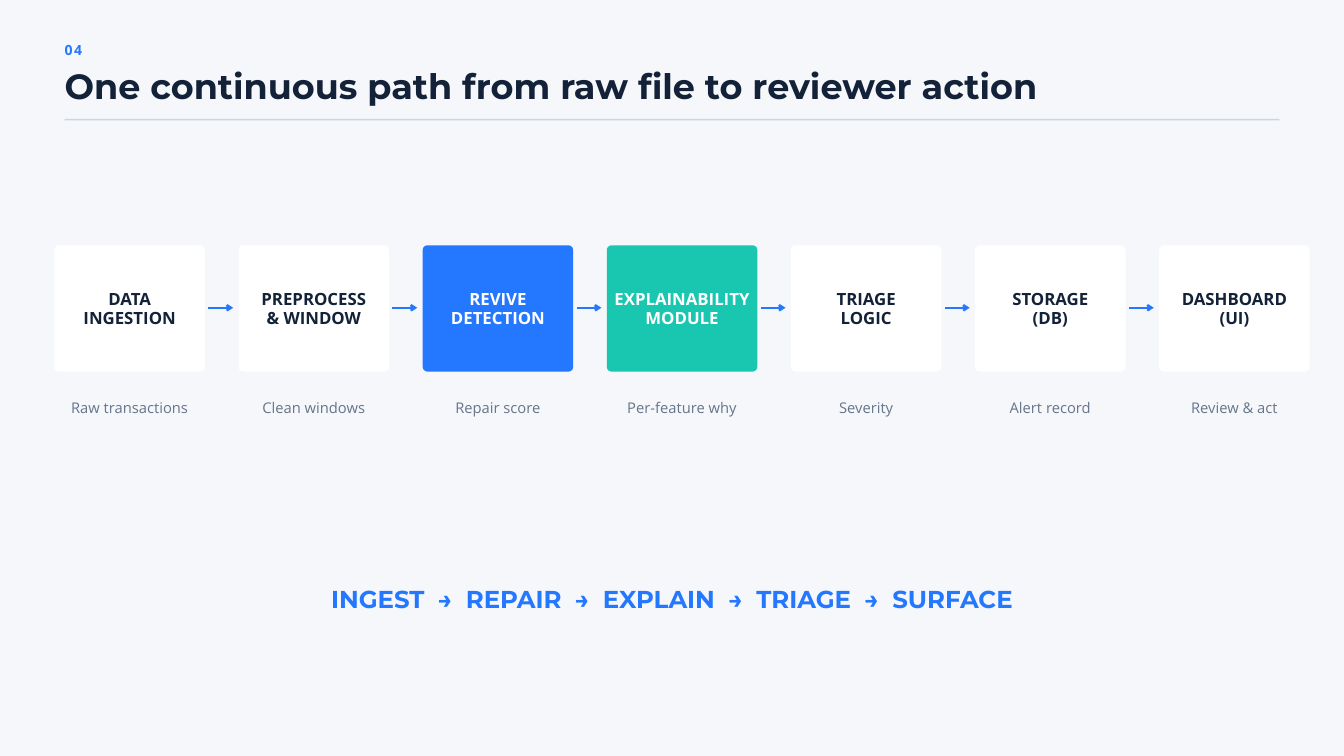
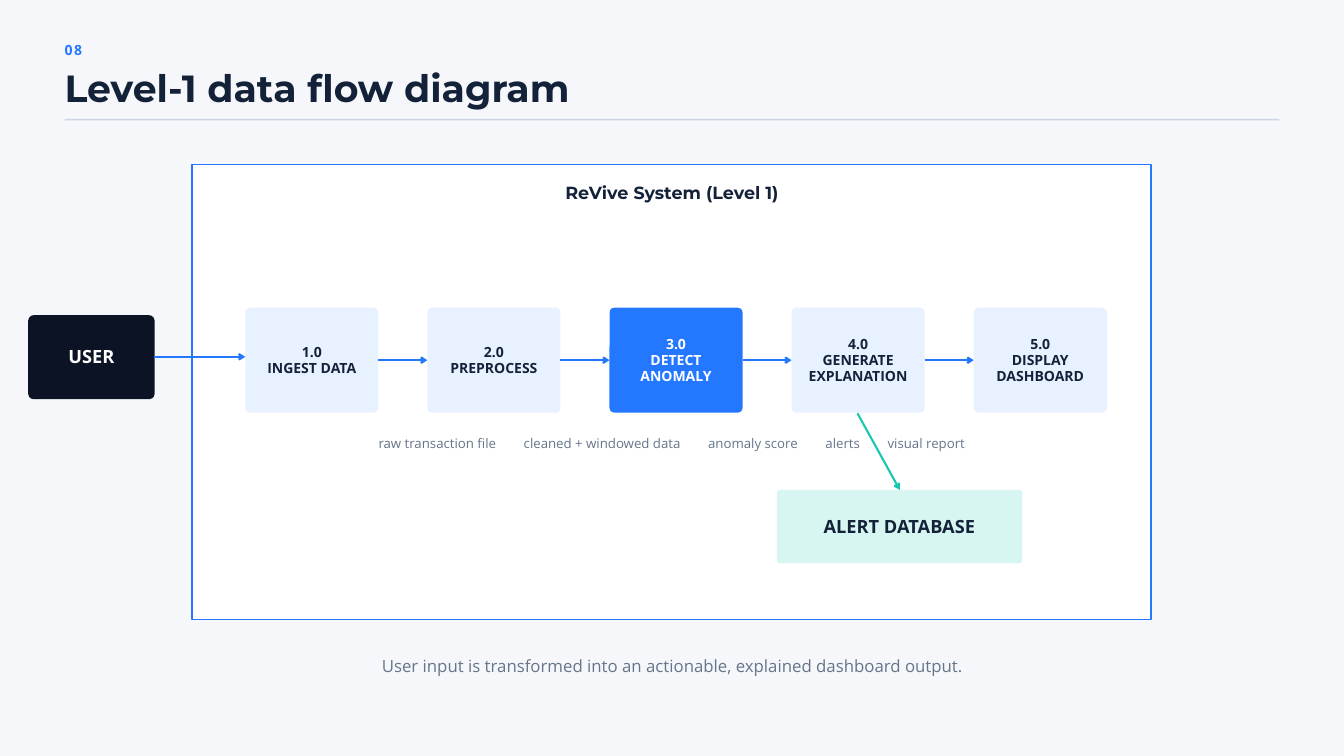
"""Build two slides: a processing pipeline and a level-1 data flow diagram."""
from lxml import etree
from pptx import Presentation
from pptx.dml.color import RGBColor
from pptx.enum.shapes import MSO_CONNECTOR, MSO_SHAPE
from pptx.enum.text import MSO_ANCHOR, PP_ALIGN
from pptx.oxml.ns import qn
from pptx.util import Inches, Pt

LEFT, CENTER = PP_ALIGN.LEFT, PP_ALIGN.CENTER
TOP, MIDDLE = MSO_ANCHOR.TOP, MSO_ANCHOR.MIDDLE
RECT, ROUNDED = MSO_SHAPE.RECTANGLE, MSO_SHAPE.ROUNDED_RECTANGLE
STRAIGHT = MSO_CONNECTOR.STRAIGHT

HEADING, BODY = "Montserrat", "Open Sans"
COLORS = {
    "page": "F5F7FA", "ink": "132238", "muted": "66758A", "rule": "CBD5E1",
    "white": "FFFFFF", "blue": "2478FF", "teal": "19C7B1", "night": "0B1324",
    "pale_blue": "E8F1FF", "pale_teal": "D7F6F1",
}

STAGES = [
    ("DATA\nINGESTION", "Raw transactions", "white", "ink"),
    ("PREPROCESS\n& WINDOW", "Clean windows", "white", "ink"),
    ("REVIVE\nDETECTION", "Repair score", "blue", "white"),
    ("EXPLAINABILITY\nMODULE", "Per-feature why", "teal", "white"),
    ("TRIAGE\nLOGIC", "Severity", "white", "ink"),
    ("STORAGE\n(DB)", "Alert record", "white", "ink"),
    ("DASHBOARD\n(UI)", "Review & act", "white", "ink"),
]
SUMMARY = ["INGEST", " REPAIR", " EXPLAIN", " TRIAGE", " SURFACE"]
PROCESSES = ["INGEST DATA", "PREPROCESS", "DETECT ANOMALY",
             "GENERATE EXPLANATION", "DISPLAY DASHBOARD"]
FLOWS = ["raw transaction file", "cleaned + windowed data", "anomaly score",
         "alerts", "visual report"]


def rgb(name):
    """Return the named colour."""
    return RGBColor.from_string(COLORS[name])


def set_frame(tf, anchor=TOP, inset=0):
    """Set wrapping, anchor and equal insets of a text frame."""
    tf.word_wrap = True
    tf.vertical_anchor = anchor
    tf.margin_left = tf.margin_right = Inches(inset)
    tf.margin_top = tf.margin_bottom = Inches(inset)


def style_text(tf, size, color, line, font=BODY, bold=False, align=CENTER):
    """Format every paragraph and run of a text frame."""
    for p in tf.paragraphs:
        p.alignment = align
        p.line_spacing = Pt(line)
        for r in p.runs:
            r.font.name = font
            r.font.size = Pt(size)
            r.font.bold = bold
            r.font.color.rgb = rgb(color)


def track(r, points):
    """Set the letter spacing of a run."""
    r.font._element.set("spc", str(round(points * 100)))


def add_text(s, box, text, size, color, line, **style):
    """Add a text box without insets."""
    sp = s.shapes.add_textbox(*map(Inches, box))
    set_frame(sp.text_frame)
    sp.text_frame.text = text
    style_text(sp.text_frame, size, color, line, **style)
    return sp.text_frame


def add_joined(s, box, words, joint, gap, size, color, line, **style):
    """Add a centred line of words with widely spaced joints."""
    tf = add_text(s, box, words[0], size, color, line, **style)
    p = tf.paragraphs[0]
    for word in words[1:]:
        r = p.add_run()
        r.text = joint
        track(r, gap)
        p.add_run().text = word
    style_text(tf, size, color, line, **style)


def add_panel(s, box, fill, kind=RECT, outline=None):
    """Add a filled shape with an optional outline."""
    sp = s.shapes.add_shape(kind, *map(Inches, box))
    sp.shadow.inherit = False
    sp.fill.solid()
    sp.fill.fore_color.rgb = rgb(fill)
    if outline:
        sp.line.color.rgb = rgb(outline)
        sp.line.width = Pt(1.5)
    else:
        sp.line.fill.background()
    return sp


def add_card(s, box, text, fill, color, size, radius=0.07):
    """Add a rounded card with a bold centred label."""
    sp = add_panel(s, box, fill, ROUNDED)
    sp.adjustments[0] = radius / min(box[2:])
    set_frame(sp.text_frame, MIDDLE, 0.06)
    sp.text_frame.text = text
    style_text(sp.text_frame, size, color, size * 1.15, bold=True)


def add_arrow(s, start, end, color="blue"):
    """Add a straight arrow between two points."""
    cn = s.shapes.add_connector(STRAIGHT, *map(Inches, (*start, *end)))
    cn.line.color.rgb = rgb(color)
    cn.line.width = Pt(2.25)
    etree.SubElement(cn.line._get_or_add_ln(), qn("a:tailEnd"), type="arrow")
    etree.SubElement(cn._element.spPr, qn("a:effectLst"))


def add_page(prs, number, title, size, top):
    """Add a slide with its number, title and rule."""
    s = prs.slides.add_slide(prs.slide_layouts[5])
    tf = add_text(s, (0.96, 0.57, 2.08, 0.28), number, 15, "blue", 21,
                  bold=True, align=LEFT)
    track(tf.paragraphs[0].runs[0], 1.8)
    sp = s.shapes.title
    sp.left, sp.top = Inches(0.96), Inches(top)
    sp.width, sp.height = Inches(15.62), Inches(0.58)
    set_frame(sp.text_frame)
    sp.text_frame.text = title
    style_text(sp.text_frame, size, "ink", size * 1.05, font=HEADING,
               bold=True, align=LEFT)
    add_panel(s, (0.96, 1.77, 18.08, 0.02), "rule")
    return s


def build_pipeline(prs):
    """Build the seven-stage pipeline slide."""
    s = add_page(prs, "04",
                 "One continuous path from raw file to reviewer action",
                 37.5, 1.04)
    left, pitch, width, y = 0.81, 2.74, 2.24, 4.58
    for i, (name, caption, fill, color) in enumerate(STAGES):
        x = left + i * pitch
        add_card(s, (x, 3.65, width, 1.88), name, fill, color, 18)
        add_text(s, (x, 5.93, width, 0.27), caption, 15.8, "muted", 19.7)
        if i < len(STAGES) - 1:
            start = x + width + 0.05
            add_arrow(s, (start, y), (start + 0.37, y))
    add_joined(s, (2.71, 8.74, 14.58, 0.39), SUMMARY, " →", 6.9,
               26.2, "blue", 27.6, font=HEADING, bold=True)


def build_data_flow(prs):
    """Build the level-1 data flow slide."""
    s = add_page(prs, "08", "Level-1 data flow diagram", 40.5, 1.05)
    add_panel(s, (2.86, 2.45, 14.27, 6.77), "white", outline="blue")
    left, pitch, width, y = 3.65, 2.71, 1.98, 5.36
    for i, name in enumerate(PROCESSES):
        x = left + i * pitch
        focus = name == "DETECT ANOMALY"
        add_card(s, (x, 4.58, width, 1.56), f"{i + 1}.0\n{name}",
                 "blue" if focus else "pale_blue",
                 "white" if focus else "ink", 15)
        if i < len(PROCESSES) - 1:
            add_arrow(s, (x + width, y), (x + pitch, y))
    add_card(s, (0.42, 4.69, 1.88, 1.25), "USER", "night", "white", 19.5, 0.08)
    add_arrow(s, (2.29, 5.31), (left, 5.31))
    add_card(s, (11.56, 7.29, 3.65, 1.09), "ALERT DATABASE", "pale_teal",
             "ink", 19.5, 0.04)
    add_arrow(s, (12.76, 6.15), (13.39, 7.29), "teal")
    add_text(s, (7.29, 2.74, 5.42, 0.28), "ReVive System (Level 1)", 18.8,
             "ink", 19.7, font=HEADING, bold=True)
    add_joined(s, (3.12, 6.46, 13.75, 0.23), FLOWS, " ", 26,
               14.2, "muted", 17.8)
    add_text(s, (4.17, 9.74, 11.67, 0.3),
             "User input is transformed into an actionable, "
             "explained dashboard output.", 18, "muted", 22.5)


def main():
    """Build and save the presentation."""
    prs = Presentation()
    prs.slide_width, prs.slide_height = Inches(20), Inches(11.25)
    fill = prs.slide_master.background.fill
    fill.solid()
    fill.fore_color.rgb = rgb("page")
    build_pipeline(prs)
    build_data_flow(prs)
    prs.save("out.pptx")


if __name__ == "__main__":
    main()
